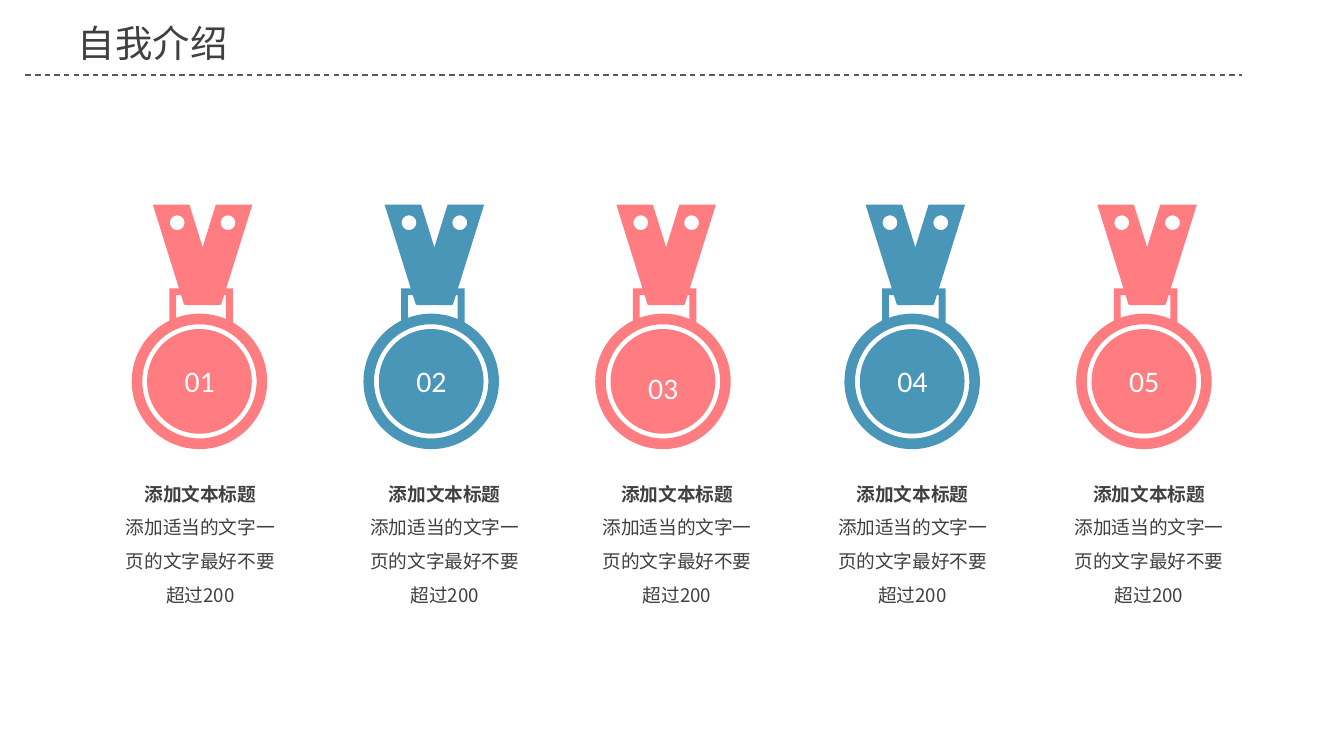
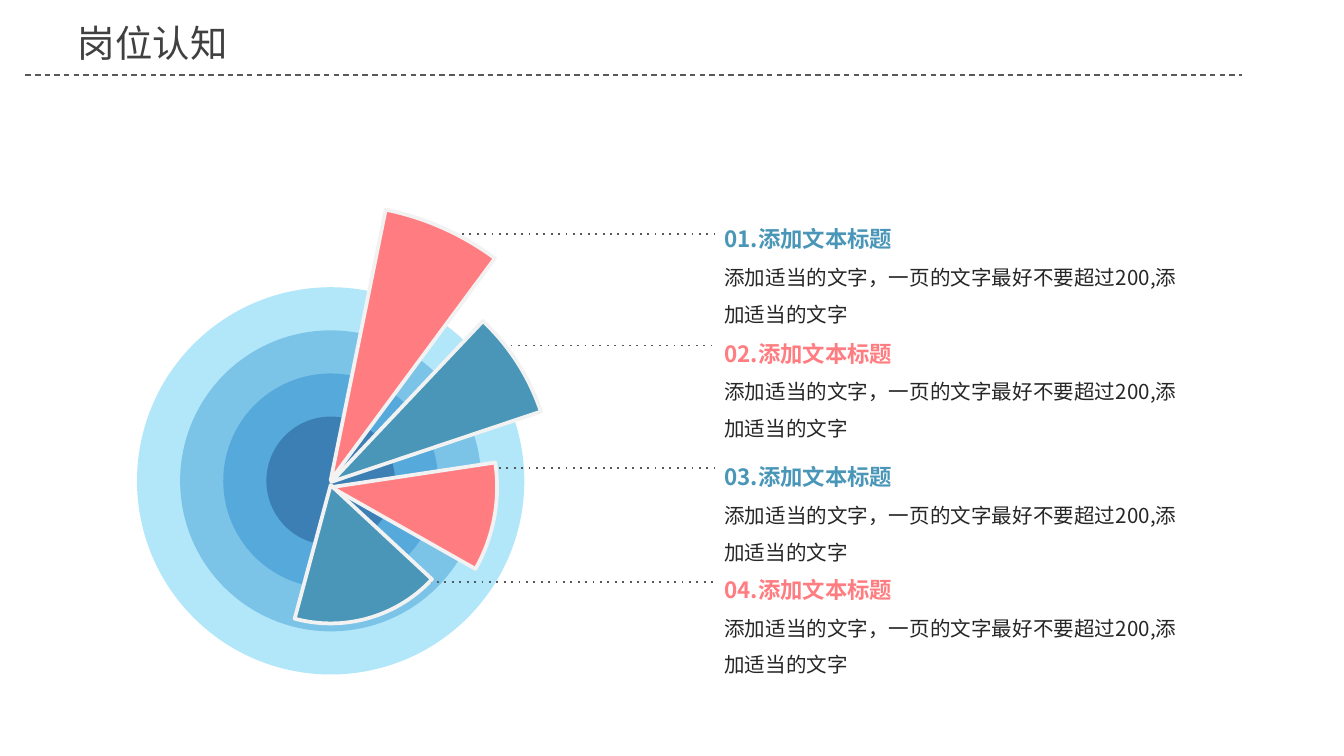
from math import acos, ceil, cos, floor, pi, sin, tan

from lxml import etree
from pptx import Presentation, util as u
from pptx.dml.color import RGBColor
from pptx.enum import shapes as sh, text as tx
from pptx.oxml.ns import qn

HUES = {
    "coral": "FF7C80", "teal": "4996B8", "white": "FFFFFF", "pale": "F2F2F2",
    "dark": "404040", "body": "262626", "rule": "595959", "black": "000000",
    "sky": "00B0F0", "blue": "0070C0", "navy": "002060",
}
CJK = "Noto Sans CJK SC"
STYLES = {
    "title": {"size": u.Pt(20), "name": CJK, "bold": False},
    "badge": {"size": u.Pt(16), "name": "Calibri", "bold": False},
    "head": {"size": u.Pt(10), "name": CJK, "bold": True},
    "text": {"size": u.Pt(10), "name": CJK, "bold": False},
    "lead": {"size": u.Pt(12), "name": CJK, "bold": True},
    "note": {"size": u.Pt(11), "name": CJK, "bold": False},
}
TIGHT = {
    "margin_left": u.Cm(0.18), "margin_right": u.Cm(0.18),
    "margin_top": u.Cm(0.1), "margin_bottom": u.Cm(0.1),
    "auto_size": tx.MSO_AUTO_SIZE.SHAPE_TO_FIT_TEXT,
}
MID = tx.PP_ALIGN.CENTER
LEFT = tx.PP_ALIGN.LEFT


def apply(item, vals):
    """Set every attribute in vals on item."""
    for key, val in vals.items():
        setattr(item, key, val)


def hue(name):
    """Return the named colour."""
    return RGBColor.from_string(HUES[name])


def write(para, words, style, tint, align=LEFT, gap=1.0):
    """Fill a paragraph with one styled run and return the run."""
    apply(para, {"alignment": align, "line_spacing": gap})
    run = para.add_run()
    run.text = words
    run.font.color.rgb = hue(tint)
    apply(run.font, STYLES[style])
    props = run.font._element
    etree.SubElement(props, qn("a:ea"), typeface=STYLES[style]["name"])
    return run


def label(slide, box, lines, align=LEFT, gap=1.5, wrap=True):
    """Add a text box whose lines are (words, style, tint)."""
    frame = slide.shapes.add_textbox(*map(u.Cm, box)).text_frame
    apply(frame, {**TIGHT, "word_wrap": wrap})
    for i, line in enumerate(lines):
        para = frame.add_paragraph() if i else frame.paragraphs[0]
        write(para, *line, align, gap)


def rule(slide, left, right, y, width, dash):
    """Draw a level dashed line."""
    line = slide.shapes.add_connector(
        sh.MSO_CONNECTOR.STRAIGHT, *map(u.Cm, (left, y, right, y)))
    line.line.color.rgb = hue("rule")
    line.line.width = u.Pt(width)
    props = line.element.spPr
    etree.SubElement(props.find(qn("a:ln")), qn("a:prstDash"), val=dash)
    etree.SubElement(props, qn("a:effectLst"))


def paint(shape, tint, edge=None):
    """Give a shape a flat fill and an optional 2 pt edge."""
    shape.shadow.inherit = False
    shape.fill.solid()
    shape.fill.fore_color.rgb = hue(tint)
    if edge:
        shape.line.color.rgb = hue(edge)
        shape.line.width = u.Pt(2)
    else:
        shape.line.fill.background()


def page(deck, name):
    """Add a slide with the shared title and dashed rule."""
    slide = deck.slides.add_slide(deck.slide_layouts[5])
    title = slide.shapes.title
    apply(title, dict(zip(("left", "top", "width", "height"),
                          map(u.Cm, (1.22, 0.25, 9, 1.12)))))
    frame = title.text_frame
    apply(frame, {"vertical_anchor": tx.MSO_ANCHOR.TOP, "word_wrap": True,
                  "auto_size": tx.MSO_AUTO_SIZE.NONE})
    run = write(frame.paragraphs[0], name, "title", "dark")
    glow = etree.Element(qn("a:effectLst"))
    cast = etree.SubElement(glow, qn("a:outerShdw"), blurRad="38100",
                            dist="38100", dir="2700000", algn="tl")
    tone = etree.SubElement(cast, qn("a:srgbClr"), val=HUES["black"])
    etree.SubElement(tone, qn("a:alpha"), val="43000")
    run.font._element.find(qn("a:solidFill")).addnext(glow)
    rule(slide, 0.48, 23.47, 1.42, 0.75, "dash")
    return slide


def arc(x, y, r, start=0.0, end=2 * pi):
    """Return a corner, then marked curve points in threes, cut at quarters."""
    quart = pi / 2
    stops = range(floor(start / quart) + 1, ceil(end / quart))
    turns = [start, *(i * quart for i in stops), end]
    dots = [(x + r * cos(start), y + r * sin(start))]
    for a, b in zip(turns, turns[1:]):
        k = 4 / 3 * tan((b - a) / 4)
        dots += [(x + r * (cos(a) - k * sin(a)),
                  y + r * (sin(a) + k * cos(a)), True),
                 (x + r * (cos(b) + k * sin(b)),
                  y + r * (sin(b) - k * cos(b)), True),
                 (x + r * cos(b), y + r * sin(b), True)]
    return dots


def bend(shape, loops):
    """Turn each three marked line ends into one curve."""
    dots = [dot for loop in loops for dot in loop[1:]]
    lines = list(shape.element.iter(qn("a:lnTo")))
    bent = iter([line for line, dot in zip(lines, dots) if len(dot) > 2])
    for one, two, end in zip(bent, bent, bent):
        one.tag = qn("a:cubicBezTo")
        for line in (two, end):
            one.append(line[0])
            line.getparent().remove(line)


def trace(group, left, top, tint, *loops):
    """Draw closed loops as one shape, inner loops being holes."""
    pen = None
    for loop in loops:
        first, *rest = [(u.Cm(left + x), u.Cm(top + y)) for x, y, *_ in loop]
        if pen:
            pen.move_to(*first)
        else:
            pen = group.shapes.build_freeform(*first)
        pen.add_line_segments(rest, close=True)
    shape = pen.convert_to_shape()
    bend(shape, loops)
    paint(shape, tint)


def medal(slide, left, top, tint, num, drop):
    """Draw a numbered medal from its top left corner."""
    group = slide.shapes.add_group_shape()
    wide = 1.28
    band = [(0.69, 0), (0, 0), (0.59, 1.89), (wide, 1.9)]
    hole = arc(0.46, 0.34, 0.14)
    trace(group, left + 0.4, top, tint, band, hole)
    flip = [[(wide - x, *rest) for x, *rest in loop] for loop in (band, hole)]
    trace(group, left + 1, top, tint, *flip)

    r, mid = 1.28, 3.34

    def meet(x):
        """Return the angle where the disc's top edge is at x."""
        return -acos((x - r) / r)

    rim = [(0.71, 1.58), (1.91, 1.58)]
    rim += arc(r, mid, r, meet(1.91), meet(0.71) + 2 * pi)
    gap = [(1.78, 1.71), (0.84, 1.71)] + arc(r, mid, r, meet(0.84), meet(1.78))
    trace(group, left, top, tint, rim, gap,
          arc(r, mid, 1.08), arc(r, mid, 0.99))
    label(slide, (left + 0.8, top + 2.88 + drop, 0.97, 0.86),
          [(num, "badge", "white")], MID, 1.0, False)


def medals(slide, top):
    """Lay out five medals with captions below."""
    lefts = (2.49, 6.87, 11.25, 15.96, 20.34)
    caps = (2.06, 6.68, 11.07, 15.52, 19.99)
    for i, (left, cap) in enumerate(zip(lefts, caps)):
        medal(slide, left, top, ("coral", "teal")[i % 2], f"{i + 1:02}",
              0.13 if i == 2 else 0)
        label(slide, (cap, top + 4.94, 3.45, 2.77),
              [("添加文本标题", "head", "dark"),
               ("添加适当的文字一页的文字最好不要超过200", "text", "dark")], MID)


def disc(slide, kind, x, y, size):
    """Add a preset shape of equal sides centred on a point."""
    box = (x - size / 2, y - size / 2, size, size)
    return slide.shapes.add_shape(kind, *map(u.Cm, box))


def rings(slide, x, y):
    """Stack see-through rings around a centre."""
    for i, tint in enumerate(("sky", "blue", "blue", "navy")):
        ring = disc(slide, sh.MSO_SHAPE.OVAL, x, y, 7.32 - 1.63 * i)
        paint(ring, tint)
        tone = ring.element.spPr.find(".//" + qn("a:srgbClr"))
        etree.SubElement(tone, qn("a:alpha"), val="30000")


def wedges(slide, x, y):
    """Fan four pie wedges out from a centre."""
    fan = ((0, -0.01, 10.44, 281.5, 306.5), (0.01, 0.02, 8.36, 313.35, 341.45),
           (0.01, 0.12, 6.27, 351.45, 29.55), (0, 0.08, 5.23, 42.9, 105.07))
    for i, (dx, dy, size, start, end) in enumerate(fan):
        pie = disc(slide, sh.MSO_SHAPE.PIE, x + dx, y + dy, size)
        for j, turn in enumerate((start, end)):
            pie.adjustments[j] = turn * 0.6
        paint(pie, ("coral", "teal")[i % 2], "pale")


def notes(slide, left):
    """Draw leader lines, then the four notes they reach."""
    rows = ((8.59, 4.42, 3.91), (9.37, 6.53, 6.07),
            (8.59, 8.84, 8.41), (7.98, 11, 10.54))
    for start, y, _ in rows:
        rule(slide, start, left, y, 1, "dot")
    for i, (_, _, top) in enumerate(rows):
        label(slide, (left, top, 9.14, 2.36),
              [(f"{i + 1:02}.添加文本标题", "lead", ("teal", "coral")[i % 2]),
               ("添加适当的文字，一页的文字最好不要超过200,添加适当的文字",
                "note", "body")])


def main():
    """Build both slides and save the deck."""
    deck = Presentation()
    apply(deck, {"slide_width": u.Cm(25.4), "slide_height": u.Cm(14.29)})
    medals(page(deck, "自我介绍"), 3.87)
    wheel = page(deck, "岗位认知")
    hub = (6.25, 9.09)
    rings(wheel, *hub)
    notes(wheel, 13.51)
    wedges(wheel, *hub)
    deck.save("out.pptx")


if __name__ == "__main__":
    main()
